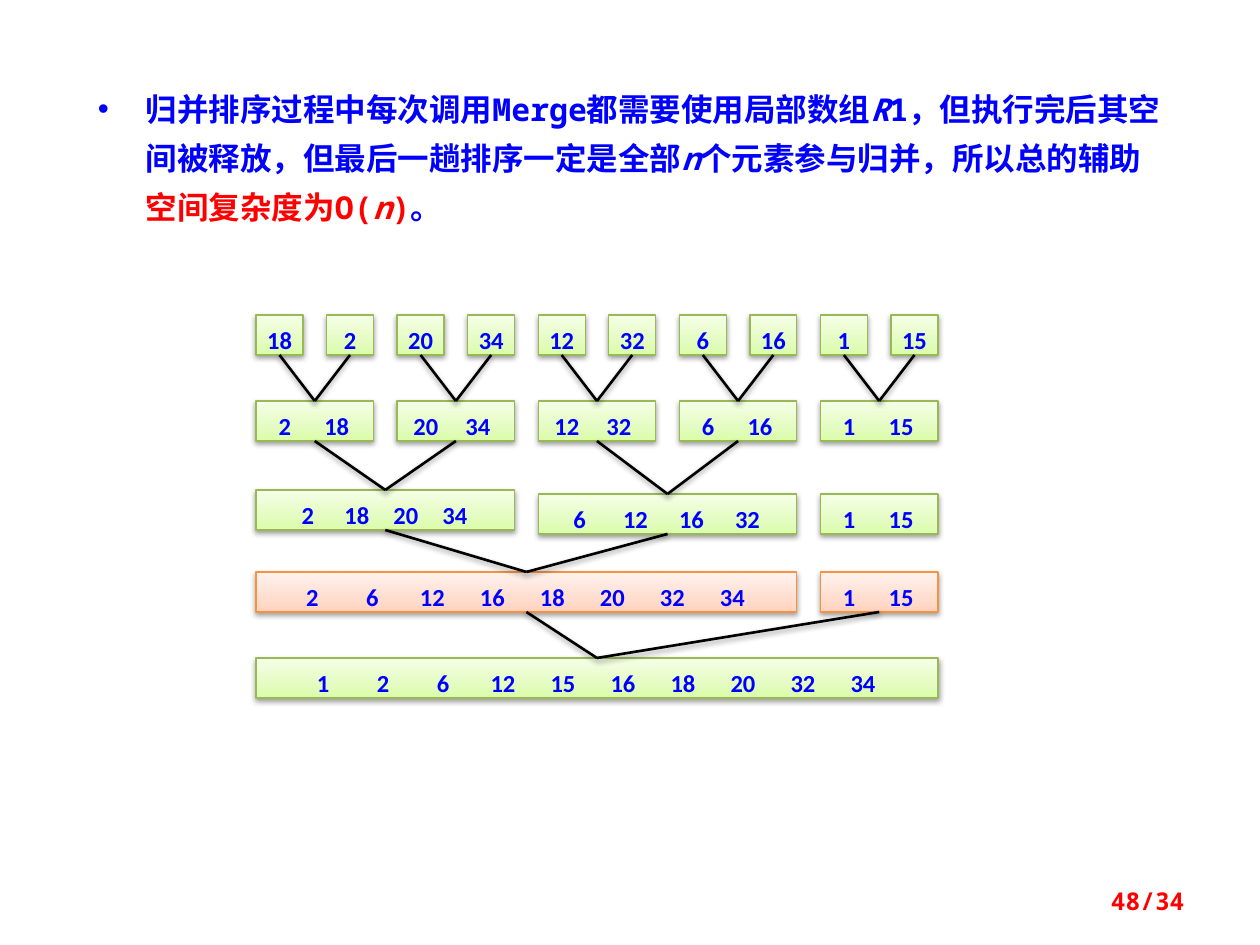
from copy import deepcopy
from dataclasses import dataclass

from pptx import Presentation
from pptx import util as u
from pptx.dml.color import RGBColor
from pptx.enum import shapes, text
from pptx.oxml import parse_xml
from pptx.oxml.ns import nsdecls, qn

PX = 914400 / 126
LEFT, WIDTH, CELL, HEIGHT, COLUMNS = 256, 682, 47, 40, 10
GAP = (WIDTH - COLUMNS * CELL) / (COLUMNS - 1)


@dataclass(frozen=True)
class Theme:
    blue: str = "0000FF"
    red: str = "FF0000"
    black: str = "000000"
    white: str = "FFFFFF"
    green: tuple = ("98B955", ((0, "DAFDA7"), (0.35, "E4FCC2"), (1, "F5FFE7")))
    orange: tuple = ("F69240", ((0, "FFD2BD"), (0.35, "FFDED0"), (1, "FFF2ED")))
    mono: str = "Noto Sans Mono"
    sans: str = "Calibri"
    body: int = 18
    small: int = 14


THEME = Theme()


@dataclass
class Box:
    sp: object
    values: list
    col: int
    span: int


def px(n):
    return u.Emu(round(n * PX))


def rgb(color):
    return RGBColor.from_string(color)


def add_run(p, content, size=THEME.small, font=THEME.sans, color=THEME.blue, bold=True, italic=False):
    r = p.add_run()
    r.text = content
    r.font.size = u.Pt(size)
    r.font.name = font
    r.font.bold = bold
    r.font.italic = italic
    r.font.color.rgb = rgb(color)


def add_shadow(sp):
    sp._element.spPr.append(parse_xml(
        f'<a:effectLst {nsdecls("a")}>'
        '<a:outerShdw blurRad="40000" dist="20000" dir="5400000" rotWithShape="0">'
        f'<a:srgbClr val="{THEME.black}"><a:alpha val="38000"/></a:srgbClr>'
        '</a:outerShdw></a:effectLst>'))


def fill_gradient(sp, stops):
    sp.fill.gradient()
    sp.fill.gradient_angle = 90
    gs_lst = sp._element.spPr.find(".//" + qn("a:gsLst"))
    gs_lst.insert(1, deepcopy(gs_lst[0]))
    for stop, (position, color) in zip(sp.fill.gradient_stops, stops):
        stop.position = position
        stop.color.rgb = rgb(color)


def add_tabs(p, positions):
    tabs = "".join(f'<a:tab pos="{px(x)}" algn="ctr"/>' for x in positions)
    p._p.get_or_add_pPr().append(parse_xml(f'<a:tabLst {nsdecls("a")}>{tabs}</a:tabLst>'))


def set_insets(tf, left, top, right, bottom):
    tf.margin_left, tf.margin_top = px(left), px(top)
    tf.margin_right, tf.margin_bottom = px(right), px(bottom)


def add_box(group, values, col, span, top, step=0, palette=THEME.green):
    line, stops = palette
    width = span * CELL + (span - 1) * GAP
    sp = group.shapes.add_shape(shapes.MSO_SHAPE.RECTANGLE, px(LEFT + col * (CELL + GAP)),
                                px(top), px(width), px(HEIGHT))
    fill_gradient(sp, stops)
    sp.line.color.rgb = rgb(line)
    sp.line.width = u.Pt(0.75)
    add_shadow(sp)
    tf = sp.text_frame
    tf.vertical_anchor = text.MSO_ANCHOR.MIDDLE
    set_insets(tf, 0, 6, 0, 6)
    p = tf.paragraphs[0]
    p.line_spacing = u.Pt(22)
    if len(values) == 1:
        p.alignment = text.PP_ALIGN.CENTER
        add_run(p, str(values[0]))
    else:
        p.alignment = text.PP_ALIGN.LEFT
        first = (width - step * (len(values) - 1)) / 2 - 4
        add_tabs(p, [first + i * step for i in range(len(values))])
        add_run(p, "".join(f"\t{value}" for value in values))
    return Box(sp, values, col, span)


def add_link(group, source, target):
    a, b = source.sp, target.sp
    line = group.shapes.add_connector(shapes.MSO_CONNECTOR.STRAIGHT, a.left + a.width // 2,
                                      a.top + a.height, b.left + b.width // 2, b.top)
    line.begin_connect(a, 2)
    line.end_connect(b, 0)
    line.line.color.rgb = rgb(THEME.black)
    line.line.width = u.Pt(1.5)
    add_shadow(line)


def add_merge(group, parents, top, step, palette=THEME.green):
    values = sorted(value for parent in parents for value in parent.values)
    span = sum(parent.span for parent in parents)
    box = add_box(group, values, parents[0].col, span, top, step, palette)
    if len(parents) > 1:
        for parent in parents:
            add_link(group, parent, box)
    return box


def add_merge_tree(slide):
    group = slide.shapes.add_group_shape()
    numbers = [18, 2, 20, 34, 12, 32, 6, 16, 1, 15]
    leaves = [add_box(group, [n], col, 1, 315) for col, n in enumerate(numbers)]
    pairs = [add_merge(group, leaves[i:i + 2], 401, 52) for i in range(0, COLUMNS, 2)]
    left_four = add_merge(group, pairs[:2], 490, 49)
    right_four = add_merge(group, pairs[2:4], 494, 56)
    rest = add_merge(group, pairs[4:], 494, 52)
    eight = add_merge(group, [left_four, right_four], 572, 60, THEME.orange)
    last_two = add_merge(group, [rest], 572, 52, THEME.orange)
    add_merge(group, [eight, last_two], 658, 60)


def add_explanation(slide):
    sp = slide.shapes.add_shape(shapes.MSO_SHAPE.RECTANGLE, px(78), px(59), px(1102), px(184))
    sp.shadow.inherit = False
    sp.fill.solid()
    sp.fill.fore_color.rgb = rgb(THEME.white)
    sp.line.fill.background()
    tf = sp.text_frame
    tf.word_wrap = True
    tf.auto_size = text.MSO_AUTO_SIZE.SHAPE_TO_FIT_TEXT
    tf.vertical_anchor = text.MSO_ANCHOR.TOP
    set_insets(tf, 20, 20, 13, 20)
    p = tf.paragraphs[0]
    p.alignment = text.PP_ALIGN.LEFT
    p.line_spacing = u.Pt(28)
    pPr = p._p.get_or_add_pPr()
    pPr.set("marL", str(px(48)))
    pPr.set("indent", str(px(-48)))
    pPr.append(parse_xml(f'<a:buFont {nsdecls("a")} typeface="Arial"/>'))
    pPr.append(parse_xml(f'<a:buChar {nsdecls("a")} char="•"/>'))
    for content, color, italic in (
        ("归并排序过程中每次调用Merge都需要使用局部数组", THEME.blue, False),
        ("R", THEME.blue, True),
        ("1，但执行完后其空间被释放，但最后一趟排序一定是全部", THEME.blue, False),
        ("n", THEME.blue, True),
        ("个元素参与归并，所以总的辅助", THEME.blue, False),
        ("空间复杂度为O(", THEME.red, False),
        ("n", THEME.red, True),
        (")", THEME.red, False),
        ("。", THEME.blue, False),
    ):
        add_run(p, content, size=THEME.body, font=THEME.mono, color=color, italic=italic)


def add_page_number(slide):
    tf = slide.shapes.add_textbox(px(903), px(876), px(294), px(50)).text_frame
    tf.word_wrap = True
    tf.vertical_anchor = text.MSO_ANCHOR.MIDDLE
    p = tf.paragraphs[0]
    p.alignment = text.PP_ALIGN.RIGHT
    add_run(p, "48/34", font=THEME.mono, color=THEME.red)


def main():
    prs = Presentation()
    prs.slide_width, prs.slide_height = px(1260), px(945)
    slide = prs.slides.add_slide(prs.slide_layouts[6])
    add_explanation(slide)
    add_merge_tree(slide)
    add_page_number(slide)
    prs.save("out.pptx")


if __name__ == "__main__":
    main()
